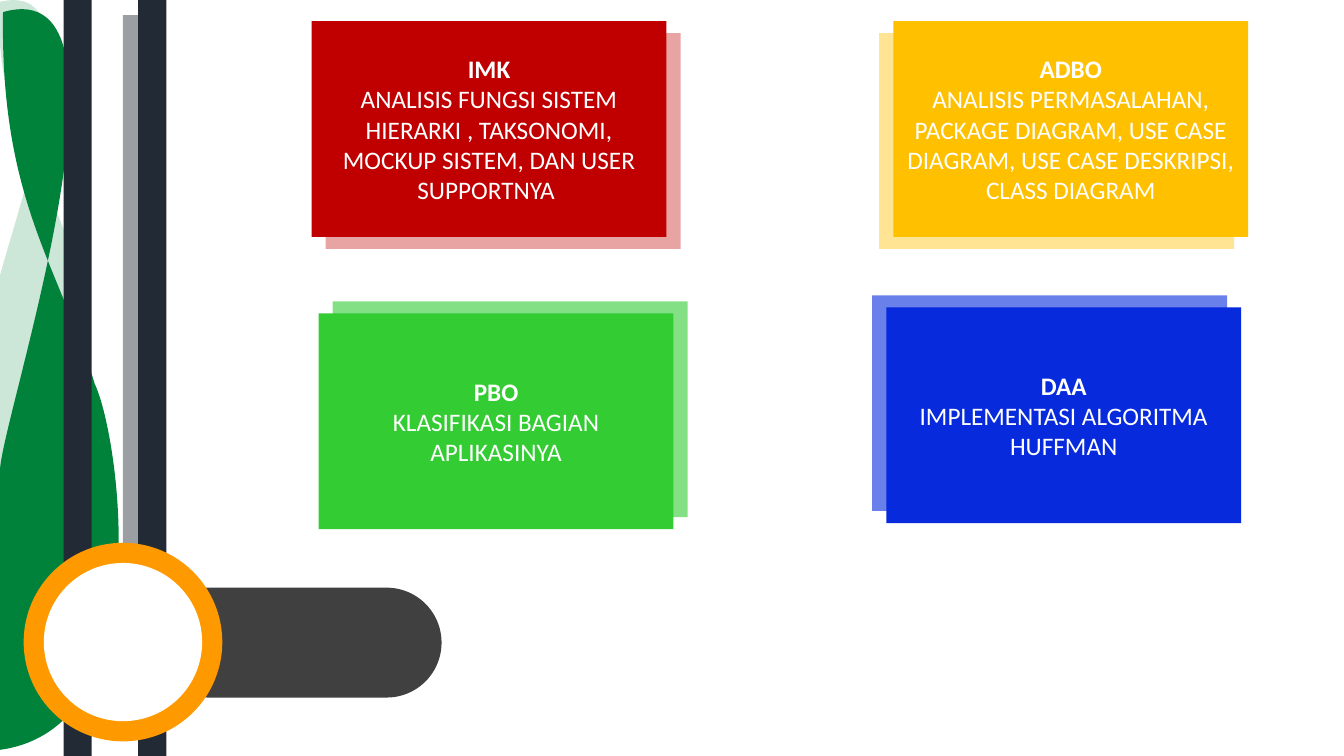
from lxml import etree
from pptx import Presentation
from pptx.dml.color import RGBColor
from pptx.enum.shapes import MSO_SHAPE
from pptx.enum.text import MSO_ANCHOR, PP_ALIGN
from pptx.oxml.ns import qn
from pptx.util import Inches, Pt

RECT, OVAL, PILL = MSO_SHAPE.RECTANGLE, MSO_SHAPE.OVAL, MSO_SHAPE.ROUNDED_RECTANGLE
MIDDLE, CENTER = MSO_ANCHOR.MIDDLE, PP_ALIGN.CENTER

COLORS = {"red": "C00000", "gold": "FFC000", "lime": "33CC33", "blue": "062ADC",
          "leaf": "00823B", "navy": "222A35", "gray": "404040",
          "orange": "FF9900", "white": "FFFFFF"}

# title, body, color, left, top, shade direction (x, y), shade opacity
CARDS = [
    ("IMK", "ANALISIS FUNGSI SISTEM HIERARKI , TAKSONOMI, MOCKUP SISTEM, DAN USER SUPPORTNYA ",
     "red", 3.09, 0.21, 1, 1, 36),
    ("ADBO", "ANALISIS PERMASALAHAN, PACKAGE DIAGRAM, USE CASE DIAGRAM, "
     "USE CASE DESKRIPSI, CLASS DIAGRAM", "gold", 8.86, 0.21, -1, 1, 42),
    ("PBO", "KLASIFIKASI BAGIAN APLIKASINYA", "lime", 3.16, 3.11, 1, -1, 60),
    ("DAA", "IMPLEMENTASI ALGORITMA HUFFMAN", "blue", 8.79, 3.05, -1, -1, 60),
]
CARD_W, CARD_H = 3.52, 2.14
SHADE_X, SHADE_Y = 0.14, 0.12

# box, start point, then curves of two control points and an end point
PALE_LEAF = ((-0.05, 0, 0.9, 4.76), (-0.04, 2.93), [
    ((-0.04, 2.45), (-0.05, 5.19), (-0.05, 4.71)),
    ((1.18, 4.57), (0.86, 2.7), (0.67, 2.38)),
    ((0.4, 1.61), (-0.04, 1.22), (-0.01, 0.02)),
    ((1.12, -0.26), (-0.04, 2.62), (-0.04, 2.93))])
DARK_LEAF = ((-0.01, 0.09, 1.19, 7.44), (0, 4.67), [
    ((0, 3.91), (-0.01, 8.2), (-0.01, 7.44)),
    ((1.61, 7.23), (1.18, 4.31), (0.94, 3.81)),
    ((0.57, 2.6), (0, 1.99), (0.03, 0.12)),
    ((1.53, -0.31), (0, 4.19), (0, 4.67))])

RING_X, RING_Y = 1.22, 6.37  # center of the ring

prs = Presentation()
prs.slide_width, prs.slide_height = Inches(13.33), Inches(7.5)
slide = prs.slides.add_slide(prs.slide_layouts[6])
shapes = slide.shapes


def paint(shape, color, alpha=100):
    """Give a shape a flat fill, with no line and no shadow."""
    shape.shadow.inherit = False
    shape.line.fill.background()
    shape.fill.solid()
    shape.fill.fore_color.rgb = RGBColor.from_string(COLORS[color])
    if alpha < 100:
        tint = shape.fill._xPr.find(".//" + qn("a:srgbClr"))
        etree.SubElement(tint, qn("a:alpha")).set("val", str(alpha * 1000))
    return shape


def block(kind, left, top, width, height, color, alpha=100, home=shapes):
    """Add a painted preset shape to the slide or to a group."""
    box = [Inches(v) for v in (left, top, width, height)]
    return paint(home.add_shape(kind, *box), color, alpha)


def disc(size, color, home):
    """Add a disc around the center of the ring."""
    block(OVAL, RING_X - size / 2, RING_Y - size / 2, size, size, color, home=home)


def leaf(box, start, curves, alpha=100):
    """Add a leaf of cubic curves, held in a box turned half round."""
    left, top, width, height = box
    form = shapes.build_freeform(0, 0)
    form.add_line_segments([(Inches(width), Inches(height))])
    shape = form.convert_to_shape()
    shape.left, shape.top = Inches(left), Inches(top)
    shape.width, shape.height = Inches(width), Inches(height)
    shape.rotation = 180
    outline = shape._element.find(".//" + qn("a:path"))
    for part in list(outline):
        outline.remove(part)

    def draw(tag, dots):
        """Append one drawing step to the outline."""
        move = etree.SubElement(outline, qn(tag))
        for x, y in dots:
            dot = etree.SubElement(move, qn("a:pt"))
            dot.set("x", str(Inches(left + width - x)))
            dot.set("y", str(Inches(top + height - y)))

    draw("a:moveTo", [start])
    for curve in curves:
        draw("a:cubicBezTo", curve)
    draw("a:close", [])
    paint(shape, "leaf", alpha)


def write(para, text, size=18, bold=False, color="white", font="Calibri"):
    """Fill a centered paragraph with one formatted run."""
    para.alignment = CENTER
    run = para.add_run()
    run.text = text
    run.font.size, run.font.bold, run.font.name = Pt(size), bold, font
    run.font.color.rgb = RGBColor.from_string(COLORS[color])


def card(title, body, color, left, top, dx, dy, alpha):
    """Group a text card with its pale offset shade."""
    home = shapes.add_group_shape().shapes
    block(RECT, left + dx * SHADE_X, top + dy * SHADE_Y, CARD_W, CARD_H,
          color, alpha, home)
    frame = block(RECT, left, top, CARD_W, CARD_H, color, home=home).text_frame
    frame.word_wrap = True
    frame.vertical_anchor = MIDDLE
    write(frame.paragraphs[0], title, bold=True)
    write(frame.add_paragraph(), body)


leaf(*PALE_LEAF, alpha=20)
block(RECT, 1.37, 0, 0.28, 7.5, "navy")
block(RECT, 1.22, 0.15, 0.27, 7.19, "navy", 45)
leaf(*DARK_LEAF)
block(RECT, 0.63, 0, 0.28, 7.5, "navy")

badge = shapes.add_group_shape().shapes
block(PILL, 1.52, 5.83, 2.86, 1.09, "gray", home=badge).adjustments[0] = 0.5
disc(1.97, "orange", badge)
disc(1.57, "white", badge)

for item in CARDS:
    card(*item)

prs.save("out.pptx")
